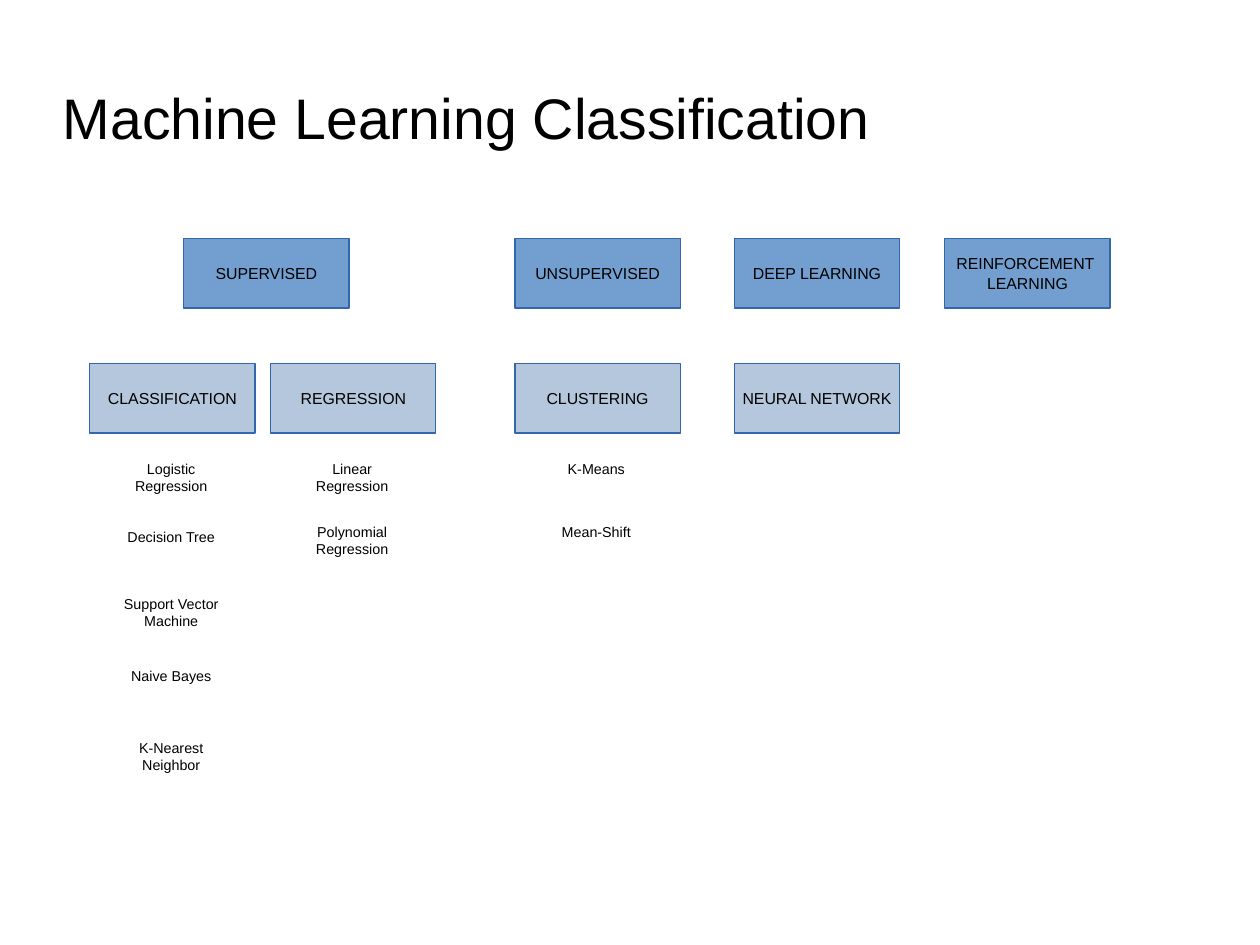
"""Build the machine learning classification slide."""
from pptx import Presentation
from pptx.dml.color import RGBColor
from pptx.enum.shapes import MSO_SHAPE
from pptx.enum.text import MSO_ANCHOR, PP_ALIGN
from pptx.util import Pt

BLACK = RGBColor(0, 0, 0)
BLUE = RGBColor(0x72, 0x9F, 0xCF)
PALE = RGBColor(0xB4, 0xC7, 0xDC)
EDGE = RGBColor(0x34, 0x65, 0xAF)

TITLE = "Machine Learning Classification"
FIELDS = [
    ("SUPERVISED", 115.8),
    ("UNSUPERVISED", 324.4),
    ("DEEP LEARNING", 462.6),
    ("REINFORCEMENT \nLEARNING", 595.2),
]
GROUPS = [
    ("CLASSIFICATION", 56.6, [
        ("Logistic Regression", 286.2), ("Decision Tree", 329),
        ("Support Vector Machine", 371.2), ("Naive Bayes", 416.5),
        ("K-Nearest Neighbor", 461.8)]),
    ("REGRESSION", 170.6, [
        ("Linear Regression", 286.2), ("Polynomial Regression", 325.8)]),
    ("CLUSTERING", 324.4, [("K-Means", 286.2), ("Mean-Shift", 325.8)]),
    ("NEURAL NETWORK", 462.6, []),
]
BOX_W, BOX_H = 104, 44
ITEM_W, ITEM_H = 85, 27
FIELD_Y, GROUP_Y = 150.1, 228.8


def write(shape, text, size, align, anchor, wrap=True):
    frame = shape.text_frame
    frame.text = text
    frame.word_wrap = wrap
    frame.vertical_anchor = anchor
    for para in frame.paragraphs:
        para.alignment = align
        for run in para.runs:
            run.font.name = "Arial"
            run.font.size = Pt(size)
            run.font.color.rgb = BLACK


def add_box(text, left, top, fill):
    box = shapes.add_shape(MSO_SHAPE.FLOWCHART_PROCESS,
                           Pt(left), Pt(top), Pt(BOX_W), Pt(BOX_H))
    box.shadow.inherit = False
    box.fill.solid()
    box.fill.fore_color.rgb = fill
    box.line.color.rgb = EDGE
    box.line.width = Pt(0.75)
    write(box, text, 10, PP_ALIGN.CENTER, MSO_ANCHOR.MIDDLE, False)


deck = Presentation()
deck.slide_width, deck.slide_height = Pt(793.7), Pt(595.28)
shapes = deck.slides.add_slide(deck.slide_layouts[6]).shapes

title = shapes.add_textbox(Pt(39.6), Pt(45), Pt(566.6), Pt(56.9))
write(title, TITLE, 36, PP_ALIGN.LEFT, MSO_ANCHOR.MIDDLE)
frame = title.text_frame
frame.margin_left = frame.margin_right = 0
frame.margin_top = frame.margin_bottom = 0

for text, left in FIELDS:
    add_box(text, left, FIELD_Y, BLUE)

for text, left, items in GROUPS:
    add_box(text, left, GROUP_Y, PALE)
    for item, top in items:
        label = shapes.add_textbox(Pt(left + (BOX_W - ITEM_W) / 2 - 0.8),
                                   Pt(top), Pt(ITEM_W), Pt(ITEM_H))
        write(label, item, 9, PP_ALIGN.CENTER, MSO_ANCHOR.TOP)

deck.save("out.pptx")
